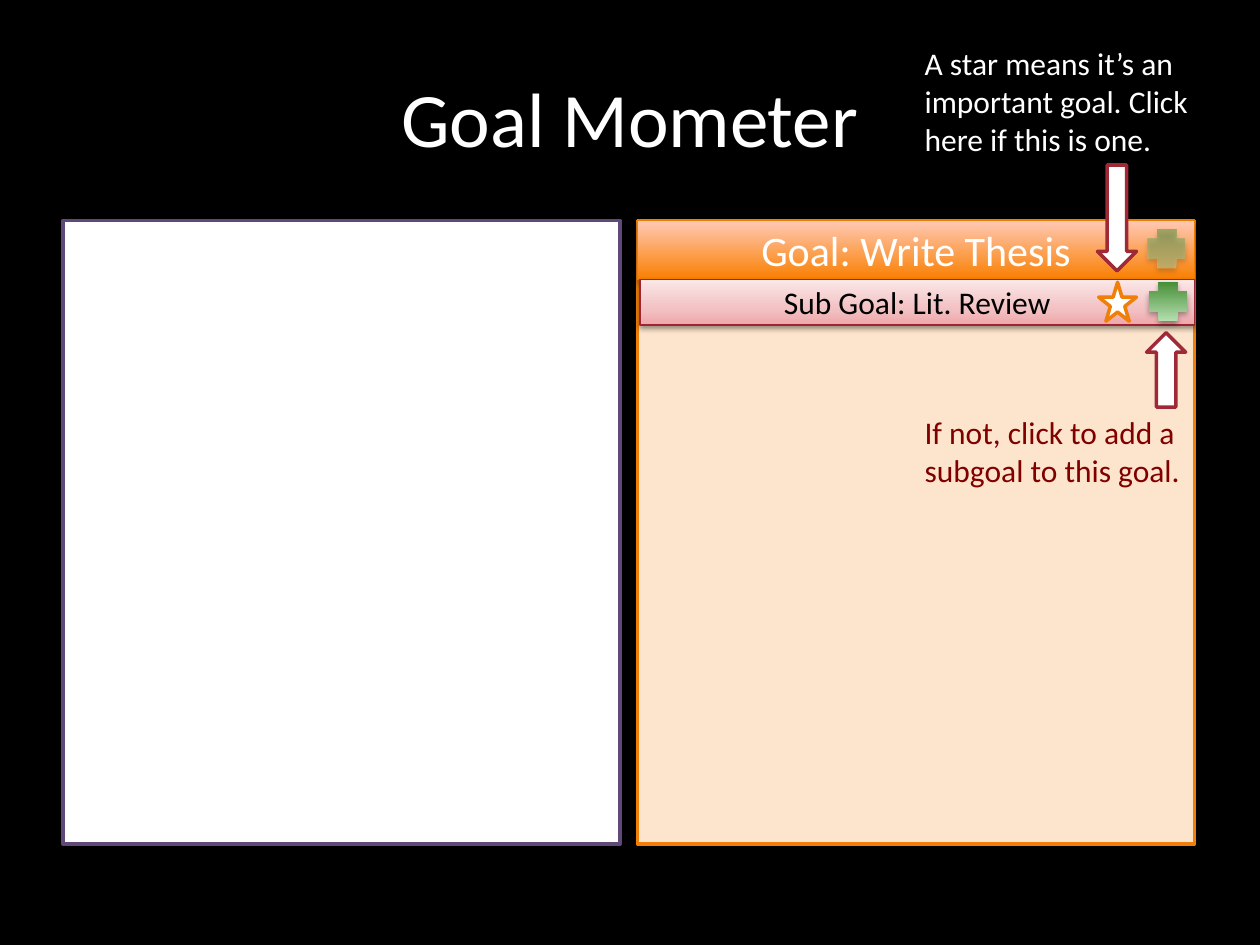
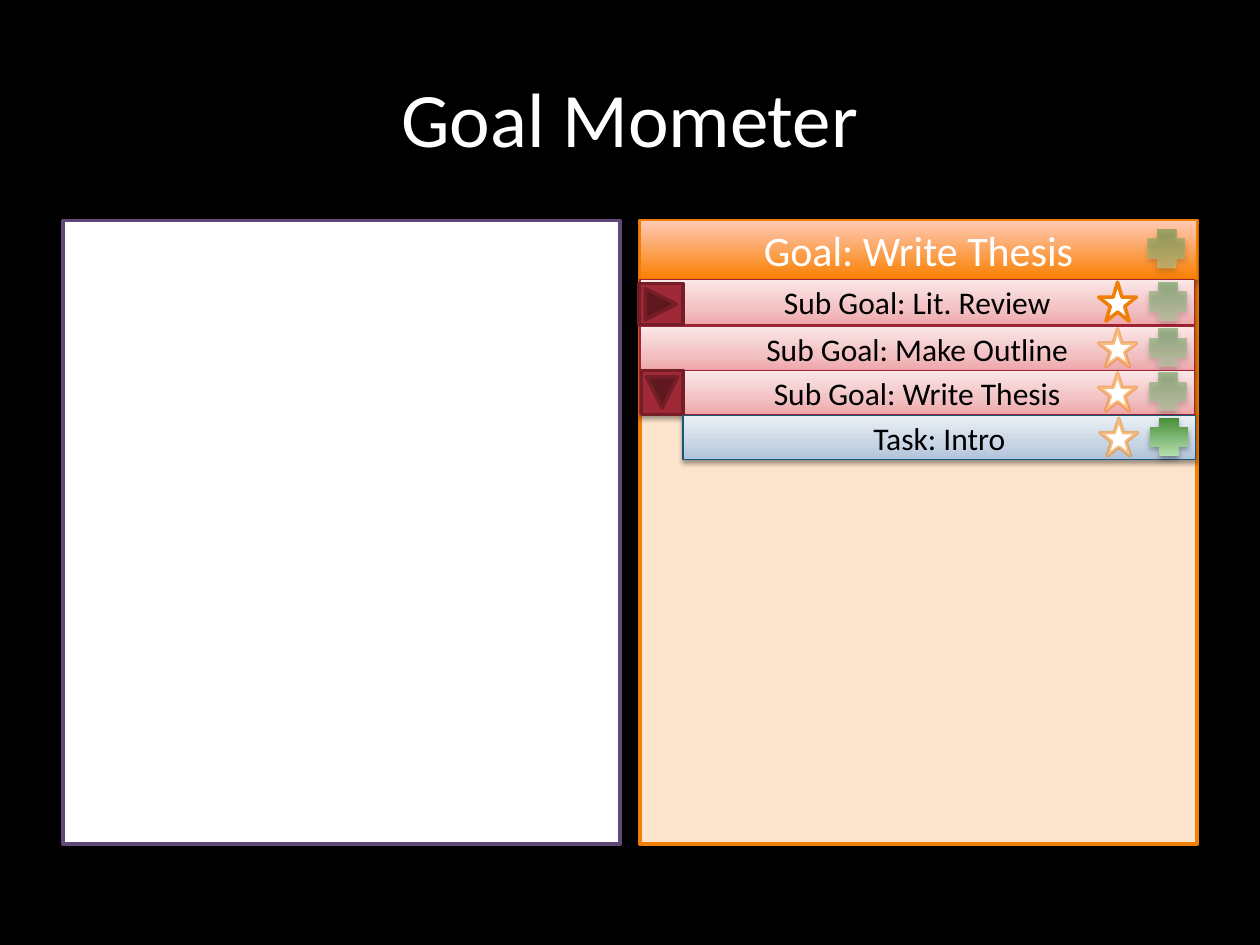
"""Build the two Goal Mometer screens."""
from dataclasses import dataclass

from lxml import etree
from pptx import Presentation
from pptx import util as u
from pptx.dml import color
from pptx.enum import shapes, text
from pptx.oxml import ns

KIND = shapes.MSO_SHAPE


@dataclass(frozen=True)
class Theme:
    font: str = "Calibri"
    title_size: int = 44
    goal_size: int = 24
    body_size: int = 18
    black: str = "000000"
    white: str = "FFFFFF"
    purple: str = "604878"
    orange: str = "F07F09"
    peach: str = "FDE5CD"
    red: str = "9F2936"
    dark_red: str = "761E28"
    note_red: str = "800000"
    goal_line: str = "F07C03"
    sub_line: str = "9E2533"
    task_line: str = "18577C"
    goal_stops: tuple = ((0, "F97F00"), (100, "FFC9B5"))
    sub_stops: tuple = ((0, "EEA6A9"), (35, "F2C1C3"), (100, "FBE7E7"))
    task_stops: tuple = ((0, "AFC2DA"), (35, "C7D4E4"), (100, "EAEFF5"))
    plus_stops: tuple = ((0, "B5DFAF"), (100, "488F38"))


THEME = Theme()
PANEL_TOP, PANEL_WIDTH, PANEL_HEIGHT = 126, 318.24, 356.4
GOAL_HEIGHT = 33.84
ROW_LEFT, ROW_RIGHT = 365.76, 682.56
ICON_WIDTH = 21.6


def rgb(value):
    return color.RGBColor.from_string(value)


def add_child(parent, tag, **attributes):
    child = etree.SubElement(parent, ns.qn(tag))
    for name, value in attributes.items():
        child.set(name, str(value))
    return child


def add_color(parent, value, opacity=100):
    node = add_child(parent, "a:srgbClr", val=value)
    if opacity < 100:
        add_child(node, "a:alpha", val=opacity * 1000)


def fill_gradient(shape, stops, opacity=100):
    """Fill from bottom to top."""
    shape.fill.gradient()
    shape.fill.gradient_angle = 90
    stop_list = shape.element.spPr.find(".//" + ns.qn("a:gsLst"))
    for old in list(stop_list):
        stop_list.remove(old)
    for position, value in stops:
        add_color(add_child(stop_list, "a:gs", pos=position * 1000), value, opacity)


def add_shadow(shape, opacity=35, distance=1.8):
    effects = shape.element.spPr.find(ns.qn("a:effectLst"))
    shadow = add_child(effects, "a:outerShdw", blurRad=u.Pt(3.1), dist=u.Pt(distance),
                       dir=90 * 60000, rotWithShape=0)
    add_color(shadow, THEME.black, opacity)


def add_shape(page, kind, left, top, width, height, fill=None, line=None, weight=2):
    shape = page.shapes.add_shape(kind, u.Pt(left), u.Pt(top), u.Pt(width), u.Pt(height))
    shape.shadow.inherit = False
    if fill:
        shape.fill.solid()
        shape.fill.fore_color.rgb = rgb(fill)
    if line:
        shape.line.color.rgb = rgb(line)
        shape.line.width = u.Pt(weight)
    else:
        shape.line.fill.background()
    return shape


def write(box, words, size, ink, align=text.PP_ALIGN.CENTER, anchor=text.MSO_ANCHOR.MIDDLE):
    frame = box.text_frame
    frame.word_wrap = True
    frame.vertical_anchor = anchor
    para = frame.paragraphs[0]
    para.alignment = align
    span = para.add_run()
    span.text = words
    span.font.name = THEME.font
    span.font.size = u.Pt(size)
    span.font.color.rgb = rgb(ink)


def add_text(page, left, top, width, height):
    return page.shapes.add_textbox(u.Pt(left), u.Pt(top), u.Pt(width), u.Pt(height))


def add_note(page, top, height, words, ink):
    box = add_text(page, 521.28, top, 172.8, height)
    write(box, words, THEME.body_size, ink, text.PP_ALIGN.LEFT, text.MSO_ANCHOR.TOP)


def add_bar(page, left, top, width, height, words, stops, line, size, ink):
    bar = add_shape(page, KIND.RECTANGLE, left, top, width, height, line=line, weight=0.75)
    fill_gradient(bar, stops)
    write(bar, words, size, ink)
    return bar


def add_plus(page, left, top, height, faded):
    plus = add_shape(page, KIND.CROSS, left, top, ICON_WIDTH, height)
    fill_gradient(plus, THEME.plus_stops, 50 if faded else 100)
    add_shadow(plus)


def add_star(page, left, top, height, faded):
    star = add_shape(page, KIND.STAR_5_POINT, left, top, ICON_WIDTH, height,
                     THEME.white, THEME.orange)
    if faded:
        ink = star.element.spPr.find(ns.qn("a:ln")).find(".//" + ns.qn("a:srgbClr"))
        add_child(ink, "a:alpha", val=50000)


def add_row(page, top, words, height=25.2, left=ROW_LEFT, right=ROW_RIGHT,
            stops=THEME.sub_stops, line=THEME.sub_line, starred=False, plus_faded=True):
    """Draw a bar with its star and plus buttons."""
    bar = add_bar(page, left, top, right - left, height, words, stops, line,
                  THEME.body_size, THEME.black)
    add_shadow(bar, 38, 1.6)
    icon_top, icon_height = top + 1.44, height - 3.6
    add_plus(page, right - 25.92, icon_top, icon_height, plus_faded)
    add_star(page, right - 54.72, icon_top, icon_height, not starred)


def add_toggle(page, left, top, rotation=0):
    toggle = add_shape(page, KIND.ACTION_BUTTON_FORWARD_OR_NEXT, left, top, 25.2, 23.76,
                       THEME.red, THEME.dark_red)
    toggle.rotation = rotation


def add_arrow(page, kind, left, top, height):
    add_shape(page, kind, left, top, 22.32, height, THEME.white, THEME.red)


def add_page(deck, goal_left):
    """Start a page with its title, panels and main goal."""
    page = deck.slides.add_slide(deck.slide_layouts[6])
    page.background.fill.solid()
    page.background.fill.fore_color.rgb = rgb(THEME.black)
    panels = ((36, THEME.white, THEME.purple), (goal_left, THEME.peach, THEME.orange))
    for left, fill, line in panels:
        add_shape(page, KIND.RECTANGLE, left, PANEL_TOP, PANEL_WIDTH, PANEL_HEIGHT, fill, line)
    title = add_text(page, 36, 21.6, 648, 90)
    write(title, "Goal Mometer", THEME.title_size, THEME.white)
    goal = add_bar(page, goal_left, PANEL_TOP, PANEL_WIDTH, GOAL_HEIGHT, "Goal: Write Thesis",
                   THEME.goal_stops, THEME.goal_line, THEME.goal_size, THEME.white)
    add_shadow(goal)
    add_plus(page, 655.92, 131.04, 22.32, True)
    return page


def build_star_hint(deck):
    page = add_page(deck, 364.32)
    add_row(page, 159.84, "Sub Goal: Lit. Review", 25.92, starred=True, plus_faded=False)
    add_note(page, 21.6, 72.72,
             "A star means it’s an important goal. Click here if this is one.", THEME.white)
    add_arrow(page, KIND.DOWN_ARROW, 627.12, 94.32, 60.48)
    add_note(page, 232.56, 51.12, "If not, click to add a subgoal to this goal.", THEME.note_red)
    add_arrow(page, KIND.UP_ARROW, 655.2, 190.08, 42.48)


def build_task_list(deck):
    page = add_page(deck, ROW_LEFT)
    add_row(page, 159.84, "Sub Goal: Lit. Review", 25.92, starred=True)
    add_toggle(page, 365.04, 162)
    add_row(page, 186.48, "Sub Goal: Make Outline")
    add_row(page, 211.68, "Sub Goal: Write Thesis")
    add_toggle(page, 365.76, 212.4, 90)
    add_row(page, 237.6, "Task: Intro", left=390.24, right=683.28,
            stops=THEME.task_stops, line=THEME.task_line, plus_faded=False)


def main():
    deck = Presentation()
    deck.slide_width, deck.slide_height = u.Pt(720), u.Pt(540)
    build_star_hint(deck)
    build_task_list(deck)
    deck.save("out.pptx")


if __name__ == "__main__":
    main()
